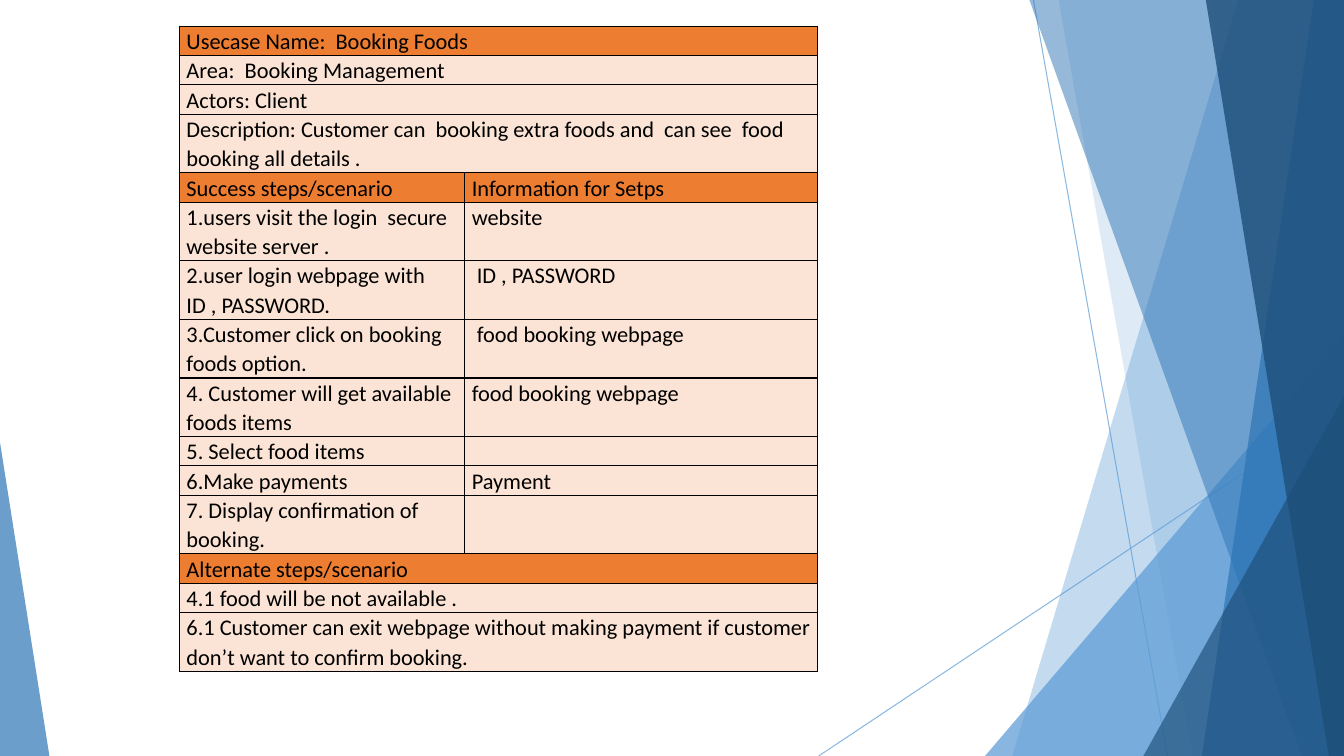
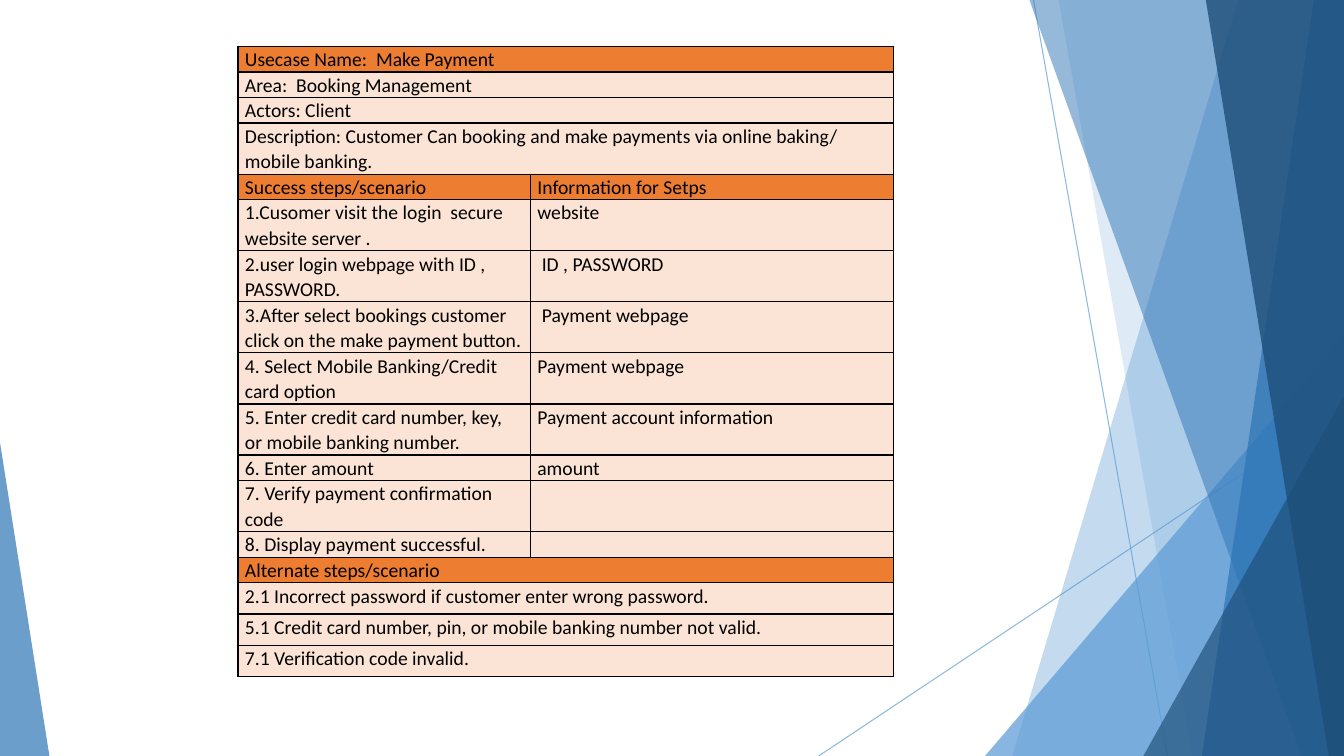
from lxml.etree import SubElement
from pptx import Presentation
from pptx.dml.color import RGBColor
from pptx.enum.shapes import MSO_CONNECTOR, MSO_SHAPE
from pptx.oxml.ns import qn
from pptx.util import Inches, Pt

SLIDE_W, SLIDE_H = 13.33, 7.5
FONT = "Calibri"
BLACK = RGBColor(0x00, 0x00, 0x00)
SKY = RGBColor(0x5B, 0x9B, 0xD5)
BLUE = RGBColor(0x2E, 0x75, 0xB5)
NAVY = RGBColor(0x1E, 0x4E, 0x79)
ORANGE = RGBColor(0xED, 0x7D, 0x31)
PEACH = RGBColor(0xFB, 0xE4, 0xD5)

LINE_SPACING = 1.07
WRAP_WIDE, WRAP_STEP = 70, 32  # characters that fit on one line


def set_alpha(fill, percent):
    for color in fill._xPr.iter(qn("a:srgbClr")):
        SubElement(color, qn("a:alpha"), val=str(percent * 1000))


def paint(sp, color, alpha):
    sp.shadow.inherit = False
    sp.fill.solid()
    sp.fill.fore_color.rgb = color
    set_alpha(sp.fill, alpha)
    sp.line.fill.background()


def add_thin_line(s, x1, y1, x2, y2):
    line = s.shapes.add_connector(
        MSO_CONNECTOR.STRAIGHT, Inches(x1), Inches(y1), Inches(x2), Inches(y2))
    line.line.width = Pt(0.75)
    line.line.color.rgb = SKY
    set_alpha(line.line.fill, 70)
    SubElement(line._element.spPr, qn("a:effectLst"))


def add_facet(s, top_x, bottom_x, color, alpha):
    """Fill from a slanted left edge to the right side of the slide."""
    builder = s.shapes.build_freeform(Inches(top_x), 0)
    corners = [(SLIDE_W, 0), (SLIDE_W, SLIDE_H), (bottom_x, SLIDE_H)]
    builder.add_line_segments([(Inches(x), Inches(y)) for x, y in corners])
    paint(builder.convert_to_shape(), color, alpha)


def add_corner(s, left, top, width, apex, color, alpha):
    """Add a triangle standing on the bottom edge of the slide."""
    sp = s.shapes.add_shape(MSO_SHAPE.ISOSCELES_TRIANGLE, Inches(left), Inches(top),
                            Inches(width), Inches(SLIDE_H - top))
    sp.adjustments[0] = apex
    paint(sp, color, alpha)


def add_backdrop(s):
    add_thin_line(s, 10.25, 0, 11.58, SLIDE_H)
    add_thin_line(s, SLIDE_W, 4.03, 8.12, SLIDE_H)
    add_facet(s, 12.28, 10.04, SKY, 36)
    add_facet(s, 10.5, 11.83, SKY, 20)
    add_corner(s, 9.77, 3.33, 3.56, 1, SKY, 72)
    add_facet(s, 10.21, 12.91, BLUE, 50)
    add_facet(s, 13.03, 11.92, BLUE, 70)
    add_facet(s, 11.96, 13.18, NAVY, 80)
    add_corner(s, 11.34, 3.93, 1.99, 1, NAVY, 66)
    add_corner(s, 0, 4.39, 0.49, 0, BLUE, 70)


def format_cell(cell, text, size, color):
    cell.margin_left = cell.margin_right = Inches(0.07)
    cell.margin_top = cell.margin_bottom = 0
    tcPr = cell._tc.get_or_add_tcPr()
    for side in ("lnL", "lnR", "lnT", "lnB"):
        border = SubElement(tcPr, qn(f"a:{side}"), w=str(Pt(1)))
        fill = SubElement(border, qn("a:solidFill"))
        SubElement(fill, qn("a:srgbClr"), val=str(BLACK))
    cell.fill.solid()
    cell.fill.fore_color.rgb = color
    p = cell.text_frame.paragraphs[0]
    p.line_spacing = LINE_SPACING
    p.font.name = FONT
    p.font.size = Pt(size)
    p.font.color.rgb = BLACK
    if text:
        p.add_run().text = text
    else:
        SubElement(p._p, qn("a:endParaRPr"), sz=str(size * 100))


def add_use_case(s, left, top, col_widths, size, line_height, name, description,
                 steps, alternates, alternate_height):
    """Add a use case table; rows with one text span both columns."""
    rows = [
        (ORANGE, [f"Usecase Name:  {name}"]),
        (PEACH, ["Area:  Booking Management"]),
        (PEACH, ["Actors: Client"]),
        (PEACH, [f"Description: {description}"]),
        (ORANGE, ["Success steps/scenario", "Information for Setps"]),
        *((PEACH, step) for step in steps),
        (ORANGE, ["Alternate steps/scenario"]),
        *((PEACH, [text]) for text in alternates),
    ]
    heights = []
    for _, texts in rows:
        limit = WRAP_WIDE if len(texts) == 1 else WRAP_STEP
        heights.append(line_height * (2 if len(texts[0]) > limit else 1))
    for i in range(len(rows) - len(alternates), len(rows)):
        heights[i] = max(heights[i], alternate_height)

    table = s.shapes.add_table(len(rows), 2, Inches(left), Inches(top),
                               Inches(sum(col_widths)), Inches(sum(heights))).table
    table.first_row = table.horz_banding = False
    for column, width in zip(table.columns, col_widths):
        column.width = Inches(width)
    for i, (color, texts) in enumerate(rows):
        table.rows[i].height = Inches(heights[i])
        for j in range(2):
            text = texts[j] if j < len(texts) else ""
            format_cell(table.cell(i, j), text, size, color)
        if len(texts) == 1:
            table.cell(i, 0).merge(table.cell(i, 1))


def add_slide(prs):
    s = prs.slides.add_slide(prs.slide_layouts[6])
    add_backdrop(s)
    return s


def main():
    prs = Presentation()
    prs.slide_width, prs.slide_height = Inches(SLIDE_W), Inches(SLIDE_H)

    add_use_case(
        add_slide(prs), 1.78, 0.26, (2.83, 3.5), 16, 0.29,
        name="Booking Foods",
        description="Customer can  booking extra foods and  can see  food "
                    "booking all details .",
        steps=[
            ("1.users visit the login  secure website server .", "website"),
            ("2.user login webpage with ID , PASSWORD.", " ID , PASSWORD"),
            ("3.Customer click on booking foods option.", " food booking webpage"),
            ("4. Customer will get available foods items", "food booking webpage"),
            ("5. Select food items", ""),
            ("6.Make payments", "Payment"),
            ("7. Display confirmation of booking.", ""),
        ],
        alternates=[
            "4.1 food will be not available .",
            "6.1 Customer can exit webpage without making payment if customer "
            "don’t want to confirm booking.",
        ],
        alternate_height=0.29)

    add_use_case(
        add_slide(prs), 2.36, 0.46, (2.9, 3.6), 14, 0.25,
        name="Make Payment",
        description="Customer Can booking and make payments via online baking/ "
                    "mobile banking.",
        steps=[
            ("1.Cusomer visit the login  secure website server .", "website"),
            ("2.user login webpage with ID , PASSWORD.", " ID , PASSWORD"),
            ("3.After select bookings customer click on the make payment button.",
             " Payment webpage"),
            ("4. Select Mobile Banking/Credit card option", "Payment webpage"),
            ("5. Enter credit card number, key, or mobile banking number.",
             "Payment account information"),
            ("6. Enter amount", "amount"),
            ("7. Verify payment confirmation code", ""),
            ("8. Display payment successful.", ""),
        ],
        alternates=[
            "2.1 Incorrect password if customer enter wrong password.",
            "5.1 Credit card number, pin, or mobile banking number not valid.",
            "7.1 Verification code invalid.",
        ],
        alternate_height=0.31)

    prs.save("out.pptx")


if __name__ == "__main__":
    main()
